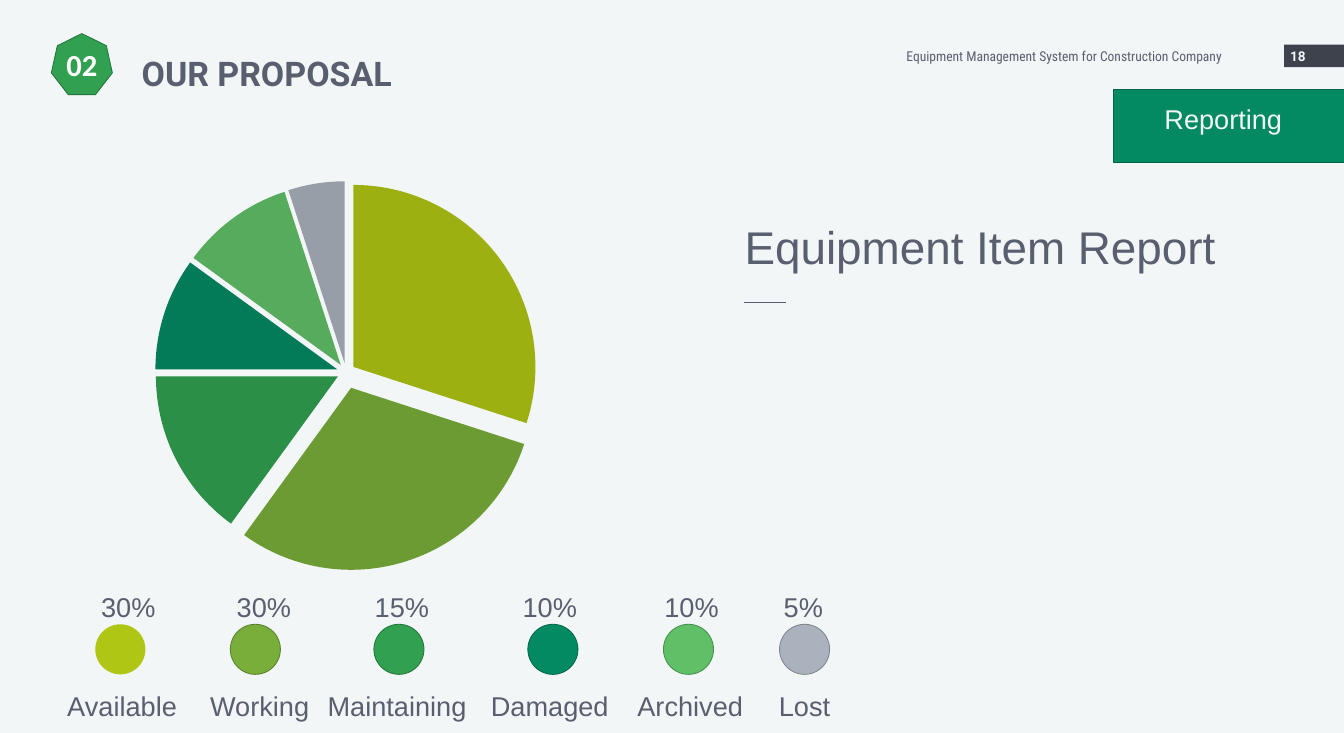
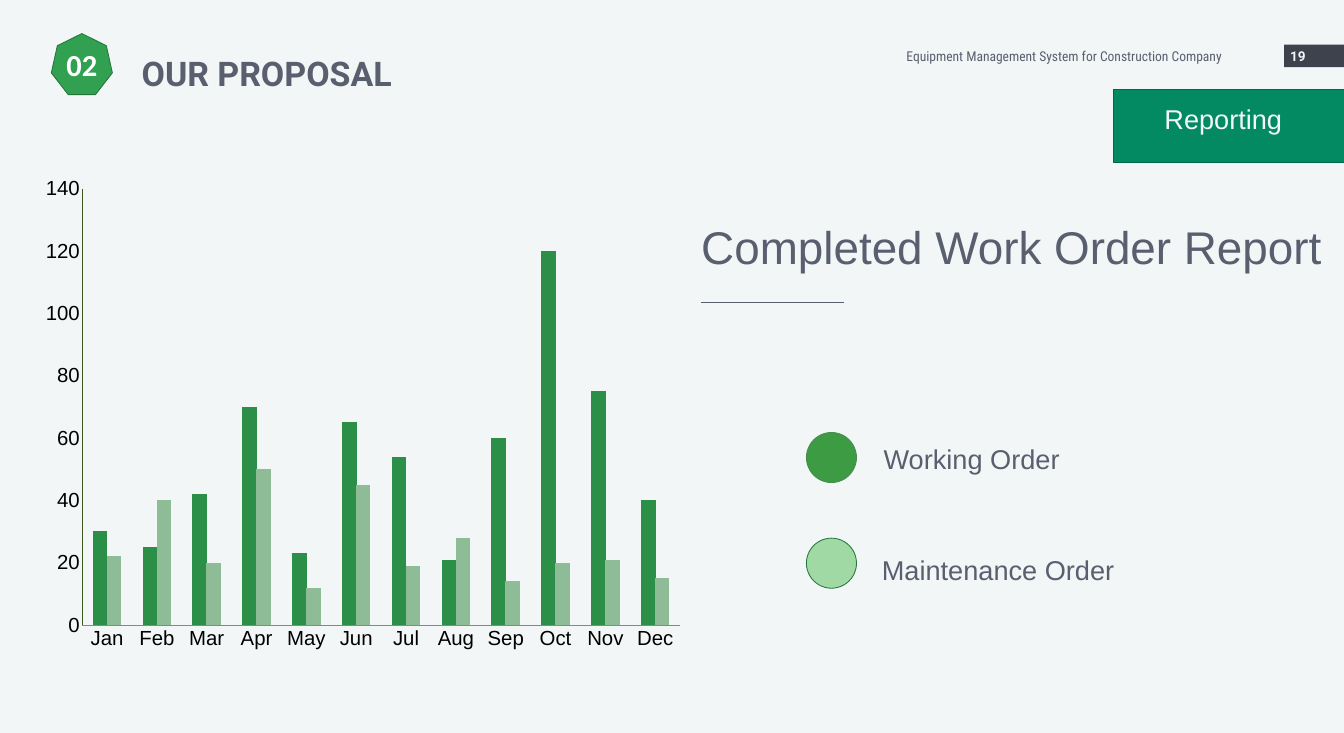
from lxml.etree import SubElement
from pptx import Presentation
from pptx.chart.data import CategoryChartData as Data
from pptx.dml.color import RGBColor as RGB
from pptx.enum.chart import XL_CHART_TYPE as Kind, XL_TICK_MARK as Tick
from pptx.enum.shapes import MSO_CONNECTOR as Wire, MSO_SHAPE as Form
from pptx.enum.text import MSO_ANCHOR as Anchor, PP_ALIGN as Align
from pptx.oxml.ns import qn
from pptx.util import Inches, Pt

PAPER = RGB(0xF2, 0xF6, 0xF7)
WHITE = RGB(0xFF, 0xFF, 0xFF)
BLACK = RGB(0x00, 0x00, 0x00)
SLATE = RGB(0x59, 0x5F, 0x6F)
NIGHT = RGB(0x3D, 0x42, 0x4D)
LIME = RGB(0xB0, 0xC6, 0x15)
OLIVE = RGB(0x7A, 0xAE, 0x3B)
GREEN = RGB(0x31, 0xA0, 0x50)
TEAL = RGB(0x03, 0x8A, 0x63)
MINT = RGB(0x60, 0xC0, 0x67)
GREY = RGB(0xAA, 0xB2, 0xBD)
LEAF = RGB(0x3D, 0x9B, 0x44)
PALE = RGB(0xA0, 0xD9, 0xA4)
OLIVE_EDGE = RGB(0x5A, 0x81, 0x2C)
GREEN_EDGE = RGB(0x24, 0x76, 0x3B)
TEAL_EDGE = RGB(0x02, 0x66, 0x49)
MINT_EDGE = RGB(0x47, 0x8E, 0x4C)
GREY_EDGE = RGB(0x7E, 0x84, 0x8C)
PIE_FILLS = (RGB(0x9D, 0xB0, 0x12), RGB(0x6C, 0x9B, 0x33), RGB(0x2B, 0x8F, 0x47),
             RGB(0x03, 0x7B, 0x58), RGB(0x56, 0xAB, 0x5C), RGB(0x97, 0x9E, 0xA8))
BAR_FILLS = (RGB(0x2B, 0x8F, 0x47), RGB(0x8D, 0xBC, 0x97))
BASE_LINE = RGB(0x87, 0x87, 0x87)
SIDE_LINE = RGB(0x3D, 0x57, 0x1E)

DISC = 0.82
STATES = (
    ("Available", 30, LIME, None, 1.56, 2.1, 2),
    ("Working", 30, OLIVE, OLIVE_EDGE, 3.77, 4.32, 4.25),
    ("Maintaining", 15, GREEN, GREEN_EDGE, 6.12, 6.58, 6.5),
    ("Damaged", 10, TEAL, TEAL_EDGE, 8.64, 9, 9),
    ("Archived", 10, MINT, MINT_EDGE, 10.86, 11.32, 11.3),
    ("Lost", 5, GREY, GREY_EDGE, 12.76, 13.15, 13.17),
)
MONTHS = ("Jan", "Feb", "Mar", "Apr", "May", "Jun",
          "Jul", "Aug", "Sep", "Oct", "Nov", "Dec")
ORDERS = (
    ("Series 1", (30, 25, 42, 70, 23, 65, 54, 21, 60, 120, 75, 40)),
    ("Series 2", (22, 40, 20, 50, 12, 45, 19, 28, 14, 20, 21, 15)),
)


def write(frame, text, size=32, face="Arial", color=SLATE, bold=False,
          align=Align.LEFT, anchor=Anchor.TOP, wrap=False, space=None):
    frame.word_wrap = wrap
    frame.vertical_anchor = anchor
    para = frame.paragraphs[0]
    para.alignment = align
    if space:
        para.line_spacing = space
    run = para.add_run()
    run.text = text
    font = run.font
    font.size, font.name, font.bold = Pt(size), face, bold
    font.color.rgb = color


class Deck:
    def __init__(self):
        self.show = Presentation()
        self.show.slide_width = Inches(22)
        self.show.slide_height = Inches(12)
        fill = self.show.slide_master.background.fill
        fill.solid()
        fill.fore_color.rgb = PAPER

    def text(self, text, x, y, w, h, **style):
        box = self.slide.shapes.add_textbox(*map(Inches, (x, y, w, h)))
        write(box.text_frame, text, **style)

    def label(self, text, mid, y):
        self.text(text, mid - 1.25, y, 2.5, 0.64, align=Align.CENTER)

    def shape(self, form, x, y, w, h, fill, edge=None):
        item = self.slide.shapes.add_shape(form, *map(Inches, (x, y, w, h)))
        item.shadow.inherit = False
        item.fill.solid()
        item.fill.fore_color.rgb = fill
        if edge is None:
            item.line.fill.background()
        else:
            item.line.color.rgb = edge
            item.line.width = Pt(1)
        return item

    def disc(self, x, y, fill, edge):
        self.shape(Form.OVAL, x, y, DISC, DISC, fill, edge)

    def rule(self, x, y, end):
        line = self.slide.shapes.add_connector(
            Wire.STRAIGHT, *map(Inches, (x, y, end, y)))
        line.line.color.rgb = SLATE
        line.line.width = Pt(0.5)
        SubElement(line.element.spPr, qn("a:effectLst"))

    def page(self, number):
        self.slide = self.show.slides.add_slide(self.show.slide_layouts[6])
        self.shape(Form.RECTANGLE, 21.02, 0.73, 1, 0.37, NIGHT)
        self.text(str(number), 21.02, 0.6, 1, 0.64, size=16, face="Roboto",
                  color=PAPER, bold=True, anchor=Anchor.MIDDLE, wrap=True)
        badge = self.shape(Form.HEPTAGON, 0.84, 0.55, 1, 1, GREEN, GREEN_EDGE)
        write(badge.text_frame, "02", size=36, face="Calibri", color=WHITE,
              bold=True, align=Align.CENTER, anchor=Anchor.MIDDLE)
        self.text("OUR PROPOSAL", 2.22, 0.61, 6.13, 0.89, size=40,
                  face="Roboto", bold=True, wrap=True, space=1.3)
        self.text("Equipment Management System for Construction Company",
                  12.68, 0.6, 7.42, 0.64, size=16, face="Roboto Condensed",
                  align=Align.RIGHT, anchor=Anchor.MIDDLE, wrap=True)
        self.shape(Form.RECTANGLE, 18.22, 1.46, 3.78, 1.2, TEAL, TEAL_EDGE)
        self.text("Reporting", 18.22, 1.46, 3.61, 0.8, color=PAPER,
                  align=Align.CENTER, wrap=True, space=1.3)

    def topic(self, text, x, w, end):
        self.text(text, x, 3.53, w, 1.01, size=54)
        self.rule(x + 0.09, 4.94, end)

    def chart(self, kind, x, y, w, h, cats, rows, size, face):
        data = Data()
        data.categories = cats
        for name, vals in rows:
            data.add_series(name, vals)
        chart = self.slide.shapes.add_chart(
            kind, *map(Inches, (x, y, w, h)), data).chart
        chart.has_legend = chart.has_title = False
        font = chart.font
        font.size, font.name = Pt(size), face
        font.color.rgb = BLACK
        return chart

    def pie(self, vals, x, y, w, h):
        cats = [str(n + 1) for n in range(len(vals))]
        chart = self.chart(Kind.PIE, x, y, w, h, cats, [("Series 1", vals)],
                           18, "Calibri")
        points = chart.plots[0].series[0].points
        for n, tint in enumerate(PIE_FILLS):
            look = points[n].format
            look.fill.solid()
            look.fill.fore_color.rgb = tint
            look.line.fill.background()
        for n, node in enumerate(chart._chartSpace.xpath(".//c:dPt")):
            burst = SubElement(node, qn("c:explosion"))
            burst.set("val", "9" if n == 1 else "5")
            node.find(qn("c:spPr")).addprevious(burst)

    def bars(self, cats, rows, x, y, w, h, plot):
        chart = self.chart(Kind.COLUMN_CLUSTERED, x, y, w, h, cats, rows,
                           24, "Arial")
        group = chart.plots[0]
        group.gap_width, group.overlap = 147, 4
        group.vary_by_categories = False
        for row, tint in zip(group.series, BAR_FILLS):
            row.format.fill.solid()
            row.format.fill.fore_color.rgb = tint
        base, side = chart.category_axis, chart.value_axis
        for axis, tint in ((base, BASE_LINE), (side, SIDE_LINE)):
            axis.major_tick_mark = axis.minor_tick_mark = Tick.NONE
            axis.has_major_gridlines = False
            axis.format.line.color.rgb = tint
            axis.format.line.width = Pt(0.75)
        side.minimum_scale, side.maximum_scale = 0, 140
        side.major_unit = 20
        side.tick_labels.number_format = "#,##0"
        side.tick_labels.number_format_is_linked = False
        area = chart._chartSpace.xpath(".//c:plotArea")[0]
        for old in area.findall(qn("c:layout")):
            area.remove(old)
        frame = SubElement(area, qn("c:layout"))
        area.insert(0, frame)
        manual = SubElement(frame, qn("c:manualLayout"))
        parts = [("layoutTarget", "inner"), ("xMode", "edge"), ("yMode", "edge")]
        for tag, val in parts + list(zip("xywh", plot)):
            SubElement(manual, qn("c:" + tag)).set("val", str(val))


def main():
    deck = Deck()

    deck.page(18)
    deck.pie([state[1] for state in STATES], 0.59, 2.71, 10.15, 6.77)
    deck.topic("Equipment Item Report", 12.09, 8, 12.87)
    for name, share, fill, edge, left, top_mid, low_mid in STATES:
        deck.disc(left, 10.22, fill, edge)
        deck.label(f"{share}%", top_mid, 9.62)
        deck.label(name, low_mid, 11.23)

    deck.page(19)
    deck.topic("Completed Work Order Report", 11.38, 10.62, 13.81)
    deck.bars(MONTHS, ORDERS, 0.6, 1.9, 10.64, 9.92, (0.07, 0.12, 0.92, 0.72))
    deck.disc(13.2, 7.08, LEAF, MINT_EDGE)
    deck.text("Working Order", 14.35, 7.2, 3.11, 0.64, align=Align.CENTER)
    deck.disc(13.2, 8.81, PALE, GREEN_EDGE)
    deck.text("Maintenance Order", 14.32, 9.01, 4.04, 0.64, align=Align.CENTER)

    deck.show.save("out.pptx")


if __name__ == "__main__":
    main()
